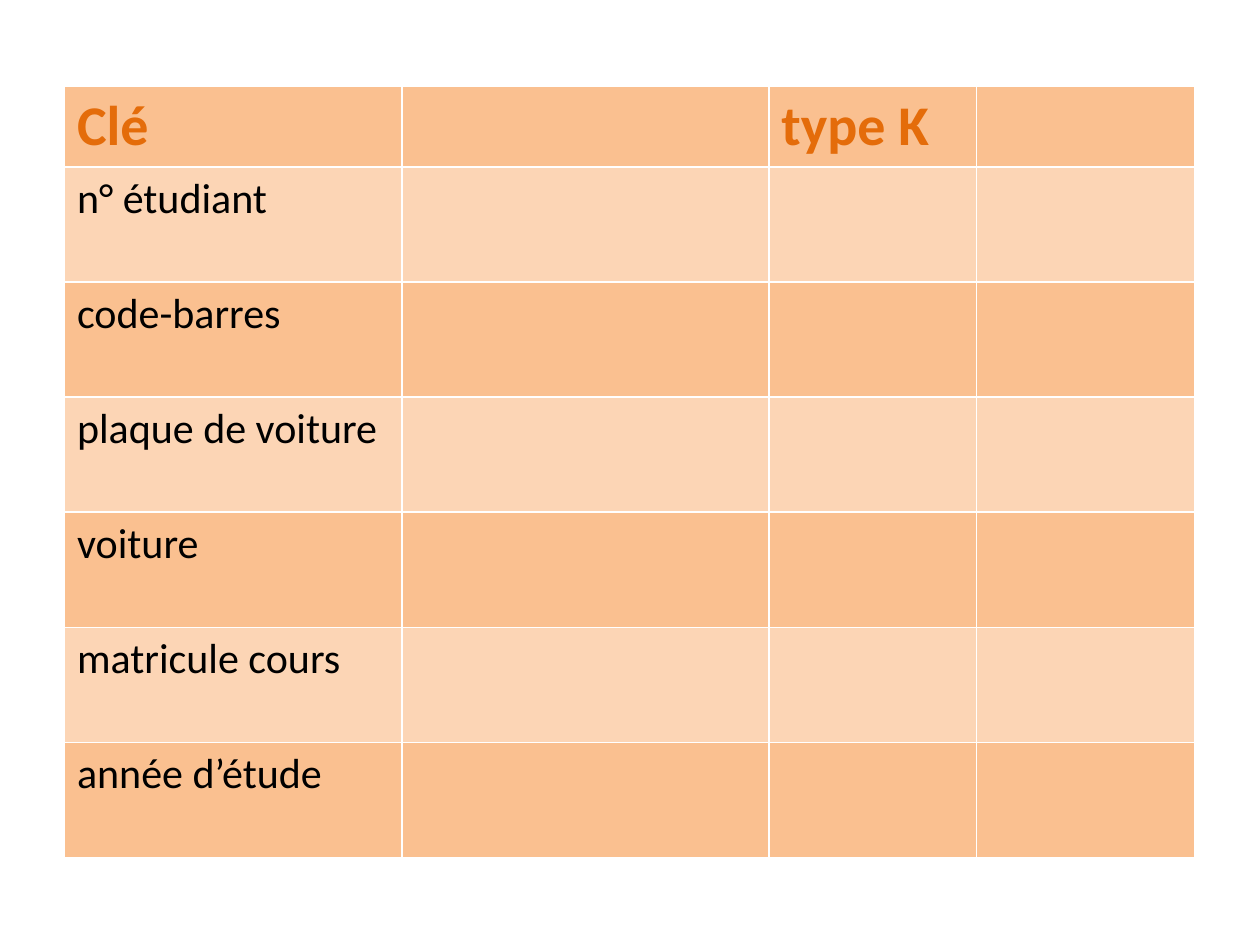
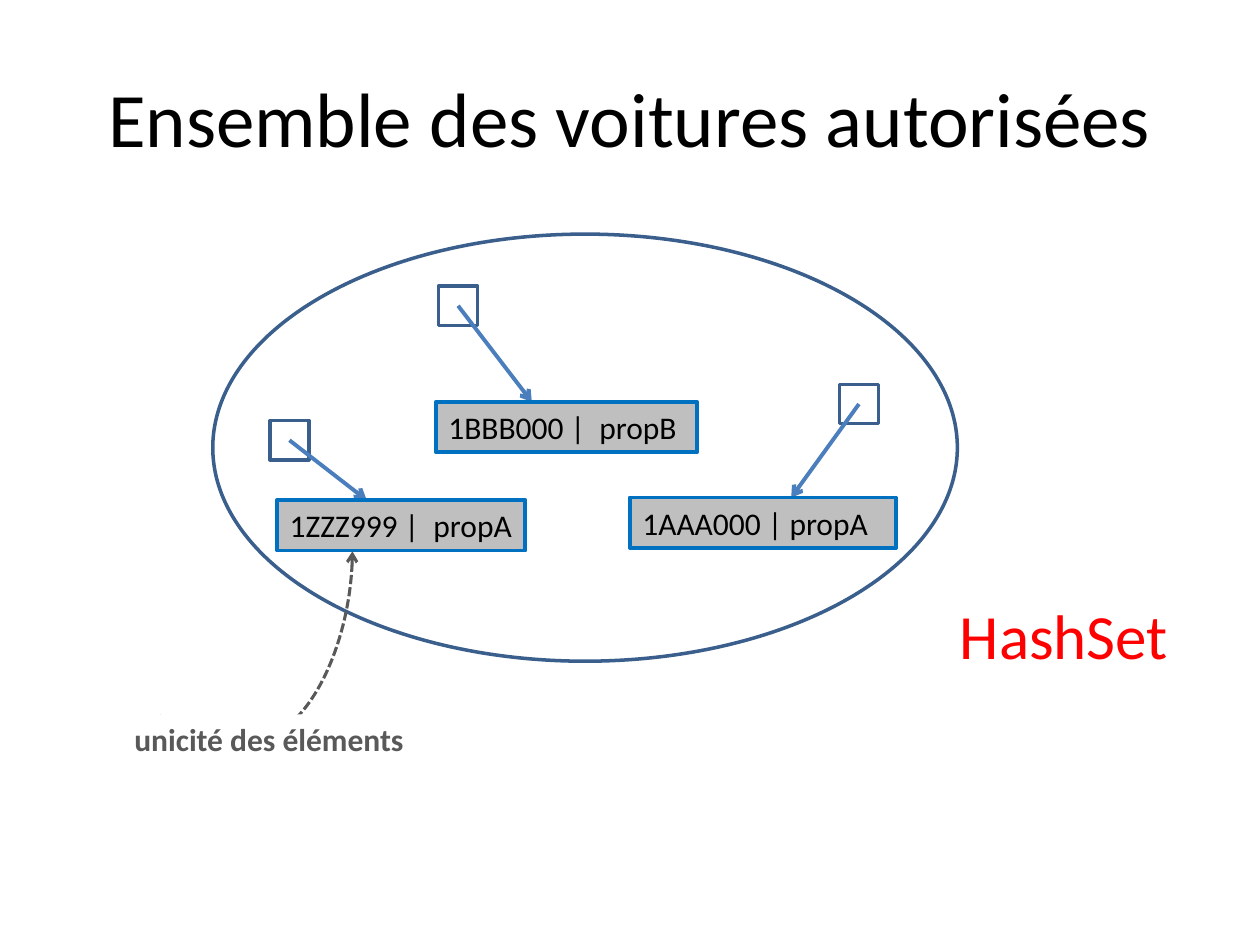
"""Builds two slides on hash keys: a table of keys and a set of authorised cars."""
from lxml.etree import SubElement
from pptx import Presentation
from pptx.dml.color import RGBColor
from pptx.enum.dml import MSO_LINE
from pptx.enum.shapes import MSO_CONNECTOR, MSO_SHAPE
from pptx.enum.text import MSO_ANCHOR, PP_ALIGN
from pptx.oxml.ns import qn
from pptx.util import Cm, Pt

BLACK = RGBColor(0x00, 0x00, 0x00)
WHITE = RGBColor(0xFF, 0xFF, 0xFF)
RED = RGBColor(0xFF, 0x00, 0x00)
ORANGE = RGBColor(0xE4, 0x6C, 0x0A)
DEEP_PEACH = RGBColor(0xFA, 0xC0, 0x90)
LIGHT_PEACH = RGBColor(0xFC, 0xD5, 0xB5)
NAVY = RGBColor(0x3A, 0x5F, 0x8C)
ARROW_BLUE = RGBColor(0x4B, 0x7E, 0xBC)
BORDER_BLUE = RGBColor(0x00, 0x70, 0xC0)
SILVER = RGBColor(0xBF, 0xBF, 0xBF)
GRAPHITE = RGBColor(0x59, 0x59, 0x59)

KEYS = ["n° étudiant", "code-barres", "plaque de voiture", "voiture",
        "matricule cours", "année d’étude"]
REFERENCE_SIDE = 0.79
CARS = [
    ("1AAA000 | propA", (16.92, 7.75), 15.95, (12.7, 10.03, 5.36, 1.02)),
    ("1ZZZ999 |  propA", (5.44, 8.48), 7.39, (5.59, 10.08, 5, 1.02)),
    ("1BBB000 |  propB", (8.84, 5.77), 10.72, (8.79, 8.1, 5.26, 1.02)),
]


class Deck:
    font = "Calibri"

    def __init__(self):
        self.presentation = Presentation()
        self.presentation.slide_width = Cm(25.4)
        self.presentation.slide_height = Cm(19.05)
        self.slide = None

    def new_slide(self, layout):
        self.slide = self.presentation.slides.add_slide(
            self.presentation.slide_layouts[layout])

    def set_text(self, frame, text, size, color=BLACK, bold=False, align=PP_ALIGN.LEFT):
        frame.text = text
        frame.word_wrap = True
        paragraph = frame.paragraphs[0]
        paragraph.alignment = align
        for run in paragraph.runs:
            run.font.name = self.font
            run.font.size = Pt(size)
            run.font.bold = bold
            run.font.color.rgb = color

    def title(self, text):
        heading = self.slide.shapes.title
        heading.left, heading.top = Cm(1.27), Cm(0.76)
        heading.width, heading.height = Cm(22.86), Cm(3.18)
        heading.text_frame.vertical_anchor = MSO_ANCHOR.MIDDLE
        self.set_text(heading.text_frame, text, 44, align=PP_ALIGN.CENTER)

    def table(self, left, top, widths, heights, rows):
        grid = self.slide.shapes.add_table(
            len(rows), len(widths), Cm(left), Cm(top),
            Cm(sum(widths)), Cm(sum(heights))).table
        for column, width in zip(grid.columns, widths):
            column.width = Cm(width)
        for index, (row, height, texts) in enumerate(zip(grid.rows, heights, rows)):
            row.height = Cm(height)
            size, color, bold = (24, BLACK, False) if index else (32, ORANGE, True)
            for cell, text in zip(row.cells, texts):
                cell.fill.solid()
                cell.fill.fore_color.rgb = LIGHT_PEACH if index % 2 else DEEP_PEACH
                if text:
                    self.set_text(cell.text_frame, text, size, color, bold)

    def shape(self, kind, box, fill=None, line=None, weight=2):
        figure = self.slide.shapes.add_shape(kind, *map(Cm, box))
        figure.shadow.inherit = False
        if fill is None:
            figure.fill.background()
        else:
            figure.fill.solid()
            figure.fill.fore_color.rgb = fill
        if line is None:
            figure.line.fill.background()
        else:
            figure.line.color.rgb = line
            figure.line.width = Pt(weight)
        return figure

    def label(self, text, box, size=18, color=BLACK, bold=False, **style):
        frame = self.shape(MSO_SHAPE.RECTANGLE, box, **style).text_frame
        frame.vertical_anchor = MSO_ANCHOR.TOP
        self.set_text(frame, text, size, color, bold)

    def text(self, text, box, size, color):
        frame = self.slide.shapes.add_textbox(*map(Cm, box)).text_frame
        self.set_text(frame, text, size, color)

    def arrow(self, start, end, color=ARROW_BLUE, weight=2.25, kind=MSO_CONNECTOR.STRAIGHT):
        link = self.slide.shapes.add_connector(kind, *map(Cm, (*start, *end)))
        link.line.color.rgb = color
        link.line.width = Pt(weight)
        properties = link._element.spPr
        SubElement(properties.find(qn("a:ln")), qn("a:tailEnd"), type="arrow")
        SubElement(properties, qn("a:effectLst"))
        return link

    def dashed_curve(self, start, end, bend):
        curve = self.arrow(start, end, GRAPHITE, 1.75, MSO_CONNECTOR.CURVE)
        curve.line.dash_style = MSO_LINE.SQUARE_DOT
        properties = curve._element.spPr
        properties.find(qn("a:xfrm")).set("rot", str(90 * 60000))
        guides = properties.find(qn("a:prstGeom")).find(qn("a:avLst"))
        SubElement(guides, qn("a:gd"), name="adj1", fmla=f"val {bend}")

    def car(self, text, corner, arrow_end, box):
        side = REFERENCE_SIDE
        self.shape(MSO_SHAPE.RECTANGLE, (*corner, side, side), line=NAVY)
        center = [edge + side / 2 for edge in corner]
        self.arrow(center, (arrow_end, box[1]))
        self.label(text, box, fill=SILVER, line=BORDER_BLUE, weight=2.25)


def main():
    deck = Deck()

    deck.new_slide(6)
    rows = [["Clé", "", "type K", ""]] + [[key, "", "", ""] for key in KEYS]
    deck.table(1.3, 1.73, [6.8, 7.4, 4.19, 4.4], [1.62] + [2.32] * len(KEYS), rows)

    deck.new_slide(5)
    deck.title("Ensemble des voitures autorisées")
    deck.shape(MSO_SHAPE.OVAL, (4.29, 4.72, 15.01, 8.61), line=NAVY)
    for car in CARS:
        deck.car(*car)
    deck.text("HashSet", (19.1, 11.91, 4.75, 1.8), 36, RED)
    deck.dashed_curve((6.81, 14.71), (3.51, 10.82), -14000)
    deck.label("unicité des éléments", (2.46, 14.4, 5.98, 1.02),
               color=GRAPHITE, bold=True, fill=WHITE)

    deck.presentation.save("out.pptx")


if __name__ == "__main__":
    main()
